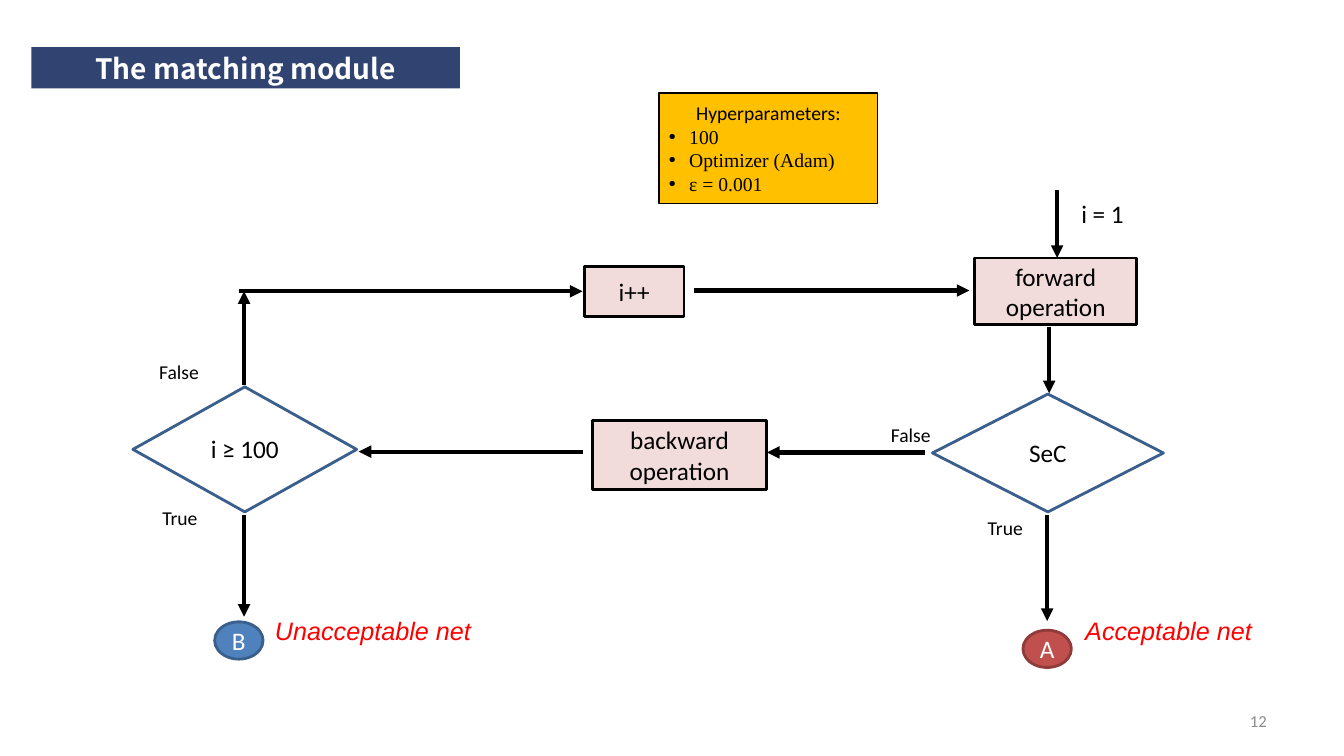
from lxml import etree
from pptx import Presentation
from pptx.dml.color import RGBColor
from pptx.enum.shapes import MSO_CONNECTOR, MSO_SHAPE
from pptx.enum.text import MSO_ANCHOR, PP_ALIGN
from pptx.oxml.ns import qn
from pptx.util import Cm, Pt

BOX, RECT = MSO_SHAPE.ROUNDED_RECTANGLE, MSO_SHAPE.RECTANGLE
RHOMB, OVAL = MSO_SHAPE.DIAMOND, MSO_SHAPE.OVAL
LEFT, MID, RIGHT = PP_ALIGN.LEFT, PP_ALIGN.CENTER, PP_ALIGN.RIGHT
TOP, CORE = MSO_ANCHOR.TOP, MSO_ANCHOR.MIDDLE
LINE = MSO_CONNECTOR.STRAIGHT

BLACK, WHITE, RED, GREY = "000000", "FFFFFF", "FF0000", "8C8C8C"
PINK, BLUE, GOLD, NAVY = "F2DCDB", "3A5F8C", "FFC000", "304371"

TITLE = ("The matching module", (0.79, 1.19, 10.8, 1.04))
PAGE = ("12", (24.28, 17.65, 7.9, 1.02))
HYPER = ("Hyperparameters:", (16.61, 2.34, 5.51, 2.79))
PARAMS = ["100", "Optimizer (Adam)", "ε = 0.001"]

STEPS = [
    (["forward", "operation"], (24.56, 6.5, 4.09, 1.68)),
    (["i++"], (14.73, 6.71, 2.51, 1.27)),
    (["backward operation"], (14.94, 10.59, 4.37, 1.75)),
]
TESTS = [
    ("SeC", (23.5, 9.93, 5.82, 2.97)),
    ("i ≥ 100", (3.35, 9.75, 5.64, 3.15)),
]
ENDS = [
    ("A", (25.78, 15.88, 1.22, 0.94), "C0504D", "8E3B39"),
    ("B", (5.41, 15.67, 1.22, 0.94), "4F81BD", BLUE),
]
ARROWS = [
    (26.64, 4.8, 26.64, 6.5),
    (26.44, 8.23, 26.44, 9.91),
    (26.39, 12.98, 26.39, 15.65),
    (23.32, 11.4, 19.33, 11.4),
    (14.68, 11.38, 9.04, 11.38),
    (6.15, 12.98, 6.15, 15.54),
    (6.15, 9.7, 6.15, 7.34),
    (6.02, 7.34, 14.68, 7.34),
    (17.48, 7.32, 24.43, 7.32),
]
LABELS = [
    ("False", (22.2, 10.52, 2.24, 0.86), 14),
    ("True", (24.64, 12.88, 2.36, 0.86), 14),
    ("False", (3.76, 8.94, 2.26, 0.86), 14),
    ("True", (3.84, 12.62, 2.36, 0.86), 14),
    ("i = 1", (27, 4.88, 2.24, 1.02), 18),
]
NETS = [
    ("Acceptable net", (27.1, 15.37, 5.26, 1.02)),
    ("Unacceptable net", (6.68, 15.37, 6.07, 1.02)),
]


def rgb(code):
    return RGBColor.from_string(code)


def style(par, size=18, color=BLACK, face="Calibri", align=MID,
          bold=False, slant=False):
    par.alignment = align
    font = par.font
    font.size, font.name = Pt(size), face
    font.bold, font.italic = bold, slant
    font.color.rgb = rgb(color)


def write(shape, lines, anchor=CORE, **look):
    frame = shape.text_frame
    frame.word_wrap = True
    frame.vertical_anchor = anchor
    frame.text = "\n".join(lines)
    for par in frame.paragraphs:
        style(par, **look)
    return frame


def draw(kind, area, fill, edge=None, width=2):
    shape = slide.shapes.add_shape(kind, *map(Cm, area))
    shape.shadow.inherit = False
    shape.fill.solid()
    shape.fill.fore_color.rgb = rgb(fill)
    if edge:
        shape.line.color.rgb = rgb(edge)
        shape.line.width = Pt(width)
    else:
        shape.line.fill.background()
    if kind == BOX:
        shape.adjustments[0] = 0
    return shape


def label(text, area, anchor=TOP, align=LEFT, **look):
    box = slide.shapes.add_textbox(*map(Cm, area))
    write(box, [text], anchor, align=align, **look)


def pad(frame, side, top, base):
    frame.margin_left = frame.margin_right = Cm(side)
    frame.margin_top, frame.margin_bottom = Cm(top), Cm(base)


def arrow(ends):
    link = slide.shapes.add_connector(LINE, *map(Cm, ends))
    link.line.color.rgb = rgb(BLACK)
    link.line.width = Pt(3)
    etree.SubElement(link.line._ln, qn("a:tailEnd"), type="triangle")
    etree.SubElement(link._element.spPr, qn("a:effectLst"))


def bullet(par, text):
    par.text = text
    props = par._p.get_or_add_pPr()
    props.set("marL", str(Cm(0.51)))
    props.set("indent", str(-Cm(0.51)))
    etree.SubElement(props, qn("a:buFont"), typeface="Arial")
    etree.SubElement(props, qn("a:buChar"), char="•")
    style(par, 14, face="Times New Roman", align=LEFT)


deck = Presentation()
deck.slide_width, deck.slide_height = Cm(33.87), Cm(19.05)
slide = deck.slides.add_slide(deck.slide_layouts[6])

text, area = TITLE
frame = write(draw(RECT, area, NAVY), [text], TOP, size=20, color=WHITE,
              face="Noto Sans CJK TC", bold=True)
pad(frame, 0.18, 0.1, 0.1)

text, area = HYPER
frame = write(draw(BOX, area, GOLD, BLACK, 1), [text], size=14)
for item in PARAMS:
    bullet(frame.add_paragraph(), item)

for lines, area in STEPS:
    write(draw(BOX, area, PINK, BLACK), lines)
for text, area in TESTS:
    frame = write(draw(RHOMB, area, WHITE, BLUE), [text])
    frame.word_wrap = False
    pad(frame, 0.08, 0.08, 0.13)
for text, area, fill, edge in ENDS:
    write(draw(OVAL, area, fill, edge), [text], color=WHITE)
for ends in ARROWS:
    arrow(ends)
for text, area, size in LABELS:
    label(text, area, size=size)
for text, area in NETS:
    label(text, area, color=RED, face="Arial", slant=True)
label(*PAGE, anchor=CORE, align=RIGHT, size=12, color=GREY)

deck.save("out.pptx")
